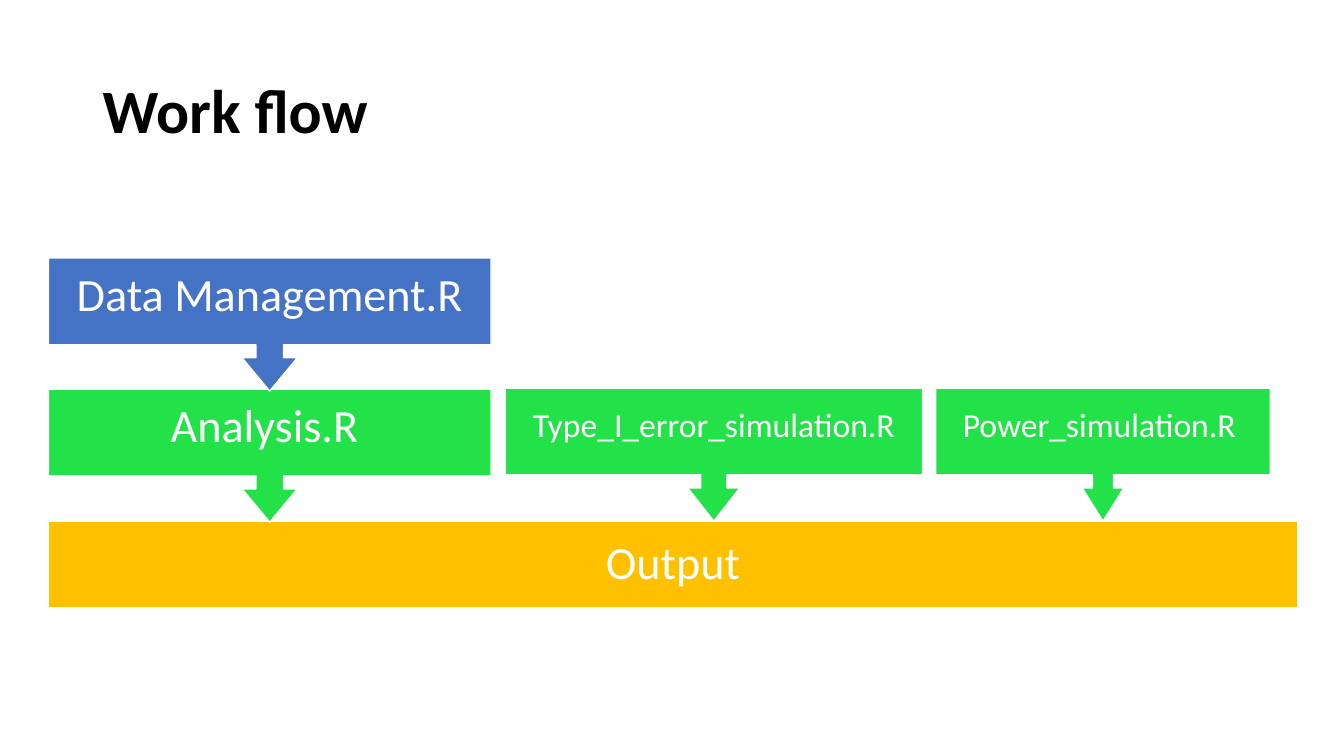
from pptx import Presentation
from pptx.dml.color import RGBColor
from pptx.enum.text import MSO_ANCHOR as Anchor, PP_ALIGN as Align
from pptx.util import Inches, Pt

FONT, WHITE, BLACK = "Calibri", "FFFFFF", "000000"
BLUE, GREEN, ORANGE = "4472C4", "23E148", "FFC000"

TITLE = "Work flow"
# label, left, top, width, text size, fill
OUTPUT = ("Output", 0.48, 5.17, 12.39, 33, ORANGE)
SCRIPTS = [
    ("Analysis.R ", 0.48, 3.86, 4.39, 33, GREEN),
    ("Data Management.R", 0.48, 2.56, 4.39, 33, BLUE),
    ("Type_I_error_simulation.R ", 5.01, 3.85, 4.14, 24, GREEN),
    ("Power_simulation.R ", 9.28, 3.85, 3.32, 24, GREEN),
]
BODY, NECK, TIP = 0.86, 0.99, 1.32  # depths below the top of a step
STEM, HEAD = 1 / 32, 1 / 16  # arrow half-widths as shares of the step width
INSET = 0.26


def color(hex_code):
    """Turn a hex string into a colour."""
    return RGBColor.from_string(hex_code)


def write(frame, words, size, ink, bold=False):
    """Put one run of text, centred vertically, in a frame."""
    frame.word_wrap = True
    frame.vertical_anchor = Anchor.MIDDLE
    line = frame.paragraphs[0]
    line.line_spacing = 0.9
    run = line.add_run()
    run.text = words
    run.font.name, run.font.size, run.font.bold = FONT, Pt(size), bold
    run.font.color.rgb = color(ink)
    return line


def outline(left, top, width, arrow):
    """Give the corners of a step, with or without its down arrow."""
    right, middle = left + width, left + width / 2
    stem, head = width * STEM, width * HEAD
    corners = [(left, top), (right, top), (right, top + BODY)]
    if arrow:
        corners += [
            (middle + stem, top + BODY), (middle + stem, top + NECK),
            (middle + head, top + NECK), (middle, top + TIP),
            (middle - head, top + NECK), (middle - stem, top + NECK),
            (middle - stem, top + BODY),
        ]
    return corners + [(left, top + BODY)]


def add_step(slide, label, left, top, width, size, fill, arrow=True):
    """Draw one step of the work flow."""
    start, *others = [(Inches(x), Inches(y))
                      for x, y in outline(left, top, width, arrow)]
    builder = slide.shapes.build_freeform(*start)
    builder.add_line_segments(others, close=True)
    step = builder.convert_to_shape()
    step.shadow.inherit = False
    step.fill.solid()
    step.fill.fore_color.rgb = color(fill)
    step.line.color.rgb = color(WHITE)
    step.line.width = Pt(1)
    frame = step.text_frame
    frame.margin_left = frame.margin_right = frame.margin_top = Inches(INSET)
    frame.margin_bottom = Inches(0.82 if arrow else INSET)
    write(frame, label, size, WHITE).alignment = Align.CENTER


deck = Presentation()
deck.slide_width, deck.slide_height = Inches(13.33), Inches(7.5)
slide = deck.slides.add_slide(deck.slide_layouts[6])

title = slide.shapes.add_textbox(
    Inches(0.92), Inches(0.4), Inches(11.5), Inches(1.45))
write(title.text_frame, TITLE, 44, BLACK, bold=True)

add_step(slide, *OUTPUT, arrow=False)
for script in SCRIPTS:
    add_step(slide, *script)

deck.save("out.pptx")
